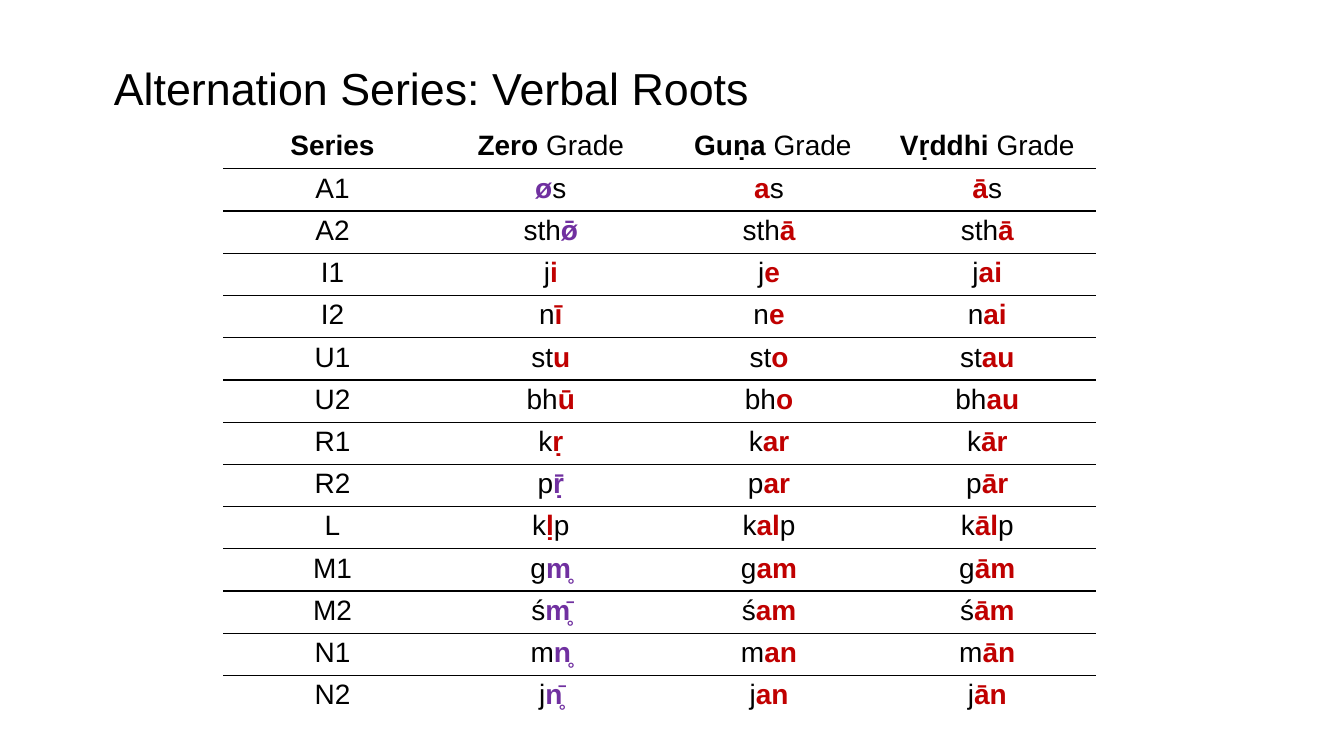
from lxml import etree
from pptx import Presentation
from pptx import util as u
from pptx.dml.color import RGBColor
from pptx.enum import text
from pptx.oxml import ns

colours = {"ink": "000000", "paper": "FFFFFF", "attested": "C00000", "theoretical": "7030A0"}

headings = [("Series", ""), ("Zero ", "Grade"), (" Guṇa ", "Grade"), ("Vṛddhi ", "Grade")]

# Series, onset, zero, guṇa and vṛddhi alternants, coda
roots = [
    ("A1", "", "ø", "a", "ā", "s"),
    ("A2", "sth", "ø̄", "ā", "ā", ""),
    ("I1", "j", "i", "e", "ai", ""),
    ("I2", "n", "ī", "e", "ai", ""),
    ("U1", "st", "u", "o", "au", ""),
    ("U2", "bh", "ū", "o", "au", ""),
    ("R1", "k", "ṛ", "ar", "ār", ""),
    ("R2", "p", "ṝ", "ar", "ār", ""),
    ("L", "k", "ḷ", "al", "āl", "p"),
    ("M1", "g", "m", "am", "ām", ""),
    ("M2", "ś", "m", "am", "ām", ""),
    ("N1", "m", "n", "an", "ān", ""),
    ("N2", "j", "n", "an", "ān", ""),
]
# Series whose zero grade is theoretical, with its light combining marks
theoretical_marks = {"A1": "", "A2": "", "R2": "", "M1": "̥", "M2": "̥̄", "N1": "̥", "N2": "̥̄"}


def write(paragraph, wording, size=20, bold=False, colour="ink"):
    if wording:
        run = paragraph.add_run()
        run.text = wording
        run.font.name = "Arial"
        run.font.size = u.Pt(size)
        run.font.bold = bold
        run.font.color.rgb = RGBColor.from_string(colours[colour])


def rule_off(cell, edge):
    line = etree.SubElement(cell._tc.get_or_add_tcPr(), ns.qn(f"a:{edge}"), w=str(u.Pt(1)))
    fill = etree.SubElement(line, ns.qn("a:solidFill"))
    etree.SubElement(fill, ns.qn("a:srgbClr"), val=colours["ink"])


deck = Presentation()
deck.slide_width, deck.slide_height = u.Cm(33.87), u.Cm(19.05)
slide = deck.slides.add_slide(deck.slide_layouts[6])

# Title
title = slide.shapes.add_textbox(u.Cm(2.62), u.Cm(1.38), u.Cm(29.62), u.Cm(1.63)).text_frame
title.word_wrap = True
title.vertical_anchor = text.MSO_ANCHOR.MIDDLE
write(title.paragraphs[0], "Alternation Series: Verbal Roots", size=32)

# Table without a banded style
row_count = len(roots) + 1
grades = slide.shapes.add_table(
    row_count, len(headings), u.Cm(5.63), u.Cm(3.19), u.Cm(22), u.Cm(14.9)
).table
grades.first_row = grades.horz_banding = False
style = grades._tbl.tblPr.find(ns.qn("a:tableStyleId"))
style.text = "{2D5ABB26-0587-4C30-8999-92F81FD0307C}"

# Cell margins, rules and fills
for row in range(row_count):
    for column in range(len(headings)):
        cell = grades.cell(row, column)
        cell.margin_left = cell.margin_right = u.Cm(0.23)
        cell.margin_top = cell.margin_bottom = u.Cm(0.1)
        if row > 0:
            rule_off(cell, "lnT")
        if row < row_count - 1:
            rule_off(cell, "lnB")
        cell.fill.solid()
        cell.fill.fore_color.rgb = RGBColor.from_string(colours["paper"])
        cell.text_frame.paragraphs[0].alignment = text.PP_ALIGN.CENTER

# Heading row
for column, (name, grade) in enumerate(headings):
    heading = grades.cell(0, column).text_frame.paragraphs[0]
    write(heading, name, bold=True)
    write(heading, grade)

# Root rows
for row, (series, onset, *alternants, coda) in enumerate(roots, start=1):
    write(grades.cell(row, 0).text_frame.paragraphs[0], series)
    for column, alternant in enumerate(alternants, start=1):
        root = grades.cell(row, column).text_frame.paragraphs[0]
        theoretical = column == 1 and series in theoretical_marks
        write(root, onset)
        write(root, alternant, bold=True, colour="theoretical" if theoretical else "attested")
        if theoretical:
            write(root, theoretical_marks[series], colour="theoretical")
        write(root, coda)

deck.save("out.pptx")
